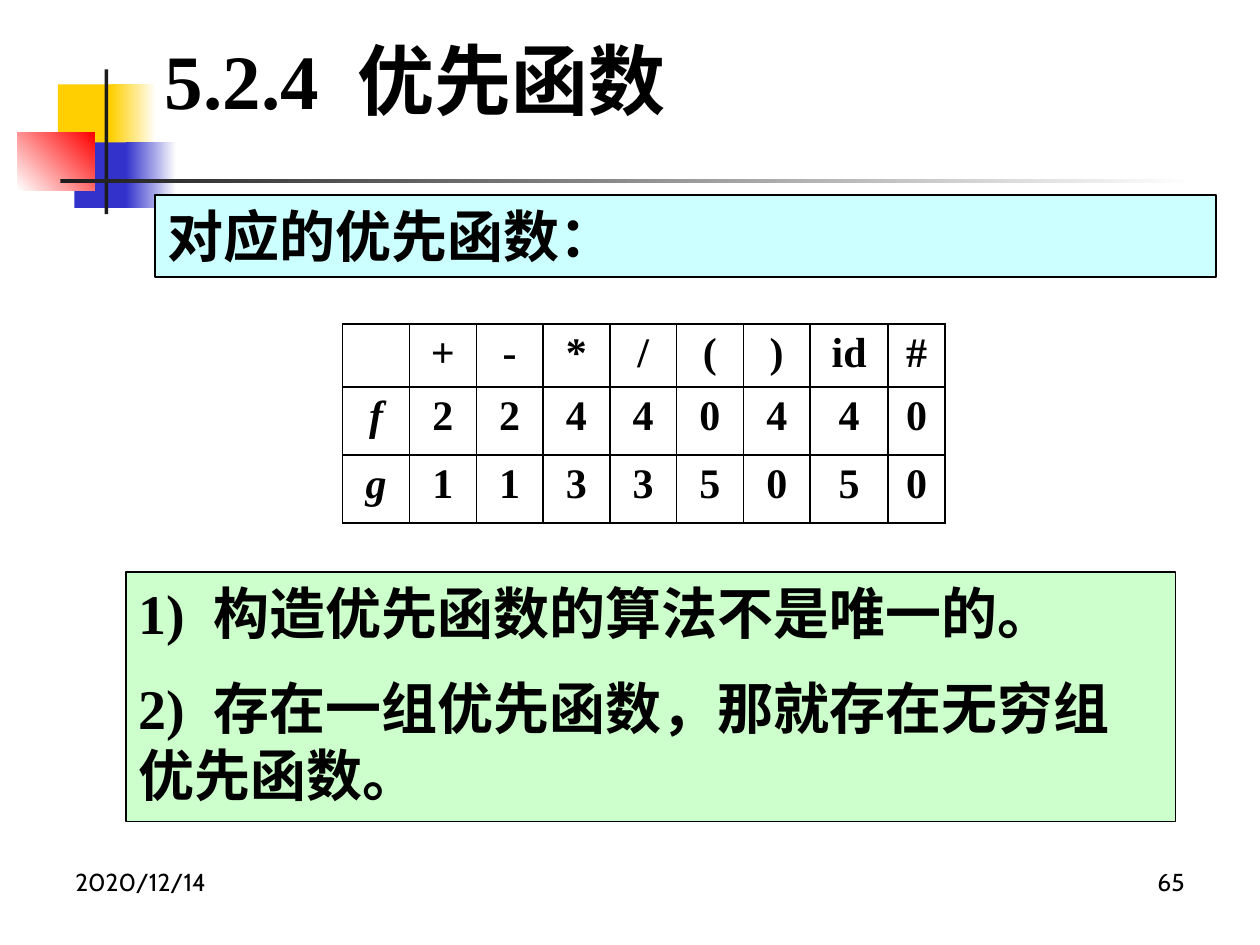
from dataclasses import dataclass

from lxml.etree import SubElement
from pptx import Presentation
from pptx.dml.color import RGBColor
from pptx.enum.shapes import MSO_SHAPE as Shape
from pptx.enum.text import MSO_ANCHOR as Anchor, PP_ALIGN as Align
from pptx.oxml.ns import qn
from pptx.slide import Slide
from pptx.util import Inches, Pt

COLORS = {
    "ink": "000000",
    "bar": "1C1C1C",
    "white": "FFFFFF",
    "yellow": "FFCF01",
    "blue": "3333CC",
    "red": "FF0000",
    "cyan": "CCFFFF",
    "green": "CCFFCC",
}


def color(name):
    return RGBColor.from_string(COLORS[name])


@dataclass
class SlideBuilder:
    """Draws styled elements on the current slide."""

    slide: Slide
    font: str = "Times New Roman"
    footer_font: str = "Cabin"
    line_width: float = 1

    def block(self, box, start, end=None, angle=0, outlined=False):
        shape = self.slide.shapes.add_shape(Shape.RECTANGLE, *map(Inches, box))
        shape.shadow.inherit = False
        if end:
            shape.fill.gradient()
            shape.fill.gradient_angle = angle
            for stop, name in zip(shape.fill.gradient_stops, (start, end)):
                stop.color.rgb = color(name)
        else:
            shape.fill.solid()
            shape.fill.fore_color.rgb = color(start)
        if outlined:
            shape.line.color.rgb = color("ink")
            shape.line.width = Pt(self.line_width)
        else:
            shape.line.fill.background()
        return shape

    def format_run(self, run, size, font=None, bold=True, italic=False):
        run.font.name = font or self.font
        run.font.size = Pt(size)
        run.font.bold = bold
        run.font.italic = italic
        run.font.color.rgb = color("ink")

    def numbered_text(self, frame, lines, size, anchor=Anchor.TOP):
        frame.word_wrap = True
        frame.vertical_anchor = anchor
        frame.text = "\n".join(lines)
        for index, paragraph in enumerate(frame.paragraphs):
            paragraph.alignment = Align.LEFT
            paragraph.space_before = Pt(size / 2 if index else 0)
            number, gap, wording = paragraph.text.partition(" ")
            paragraph.text = number
            for part in filter(None, (gap, wording)):
                paragraph.add_run().text = part
            for run in paragraph.runs:
                self.format_run(run, size)
                if run.text == " ":
                    run.font._element.set("spc", str(size * 25))

    def panel(self, box, fill, lines, size=32):
        shape = self.block(box, fill, outlined=True)
        self.numbered_text(shape.text_frame, lines, size)

    def title(self, box, text, size=44):
        shape = self.slide.shapes.add_textbox(*map(Inches, box))
        self.numbered_text(shape.text_frame, [text], size, Anchor.MIDDLE)

    def footer(self, left, text, alignment):
        shape = self.slide.shapes.add_textbox(*map(Inches, (left, 6.83, 2.33, 0.52)))
        shape.text_frame.word_wrap = True
        shape.text_frame.text = text
        paragraph = shape.text_frame.paragraphs[0]
        paragraph.alignment = alignment
        self.format_run(paragraph.runs[0], 14, self.footer_font, bold=False)

    def cell_borders(self, cell):
        properties = cell._tc.get_or_add_tcPr()
        for index, side in enumerate(("a:lnL", "a:lnR", "a:lnT", "a:lnB")):
            line = properties.makeelement(qn(side), {"w": str(Pt(self.line_width))})
            fill = SubElement(line, qn("a:solidFill"))
            SubElement(fill, qn("a:srgbClr"), val=COLORS["ink"])
            properties.insert(index, line)

    def table(self, left, top, widths, heights, rows, size=24):
        box = (left, top, sum(widths), sum(heights))
        frame = self.slide.shapes.add_table(len(rows), len(widths), *map(Inches, box))
        table = frame.table
        table.first_row = table.horz_banding = False
        for column, width in zip(table.columns, widths):
            column.width = Inches(width)
        for row, height, values in zip(table.rows, heights, rows):
            row.height = Inches(height)
            for cell, value in zip(row.cells, values):
                cell.fill.background()
                self.cell_borders(cell)
                cell.text_frame.text = value
                paragraph = cell.text_frame.paragraphs[0]
                paragraph.alignment = Align.CENTER
                for run in paragraph.runs:
                    self.format_run(run, size, italic=value in ("f", "g"))


def main():
    presentation = Presentation()
    presentation.slide_width = Inches(10)
    presentation.slide_height = Inches(7.5)
    builder = SlideBuilder(presentation.slides.add_slide(presentation.slide_layouts[6]))

    builder.block((0.46, 0.67, 0.48, 0.52), "yellow")
    builder.block((0.88, 0.67, 0.36, 0.52), "yellow", "white")
    builder.block((0.59, 1.13, 0.46, 0.52), "blue")
    builder.block((1, 1.13, 0.4, 0.52), "blue", "white")
    builder.block((0.14, 1.05, 0.61, 0.46), "white", "red", angle=45)
    builder.block((0.83, 0.55, 0.03, 1.15), "bar")
    builder.block((0.48, 1.42, 9, 0.03), "bar", "white")

    builder.footer(0.5, "2020/12/14", Align.LEFT)
    builder.footer(7.17, "65", Align.RIGHT)

    builder.panel((1.23, 1.55, 8.42, 0.65), "cyan", ["对应的优先函数："])
    builder.panel(
        (1, 4.54, 8.33, 1.98),
        "green",
        ["1) 构造优先函数的算法不是唯一的。", "2) 存在一组优先函数，那就存在无穷组优先函数。"],
    )
    builder.table(
        2.72,
        2.57,
        widths=[0.53] * 7 + [0.62, 0.45],
        heights=[0.5, 0.54, 0.54],
        rows=[
            ["", "+", "-", "*", "/", "(", ")", "id", "#"],
            ["f", *"22440440"],
            ["g", *"11335050"],
        ],
    )
    builder.title((1.21, 0.21, 5.92, 0.83), "5.2.4 优先函数")

    presentation.save("out.pptx")


if __name__ == "__main__":
    main()
